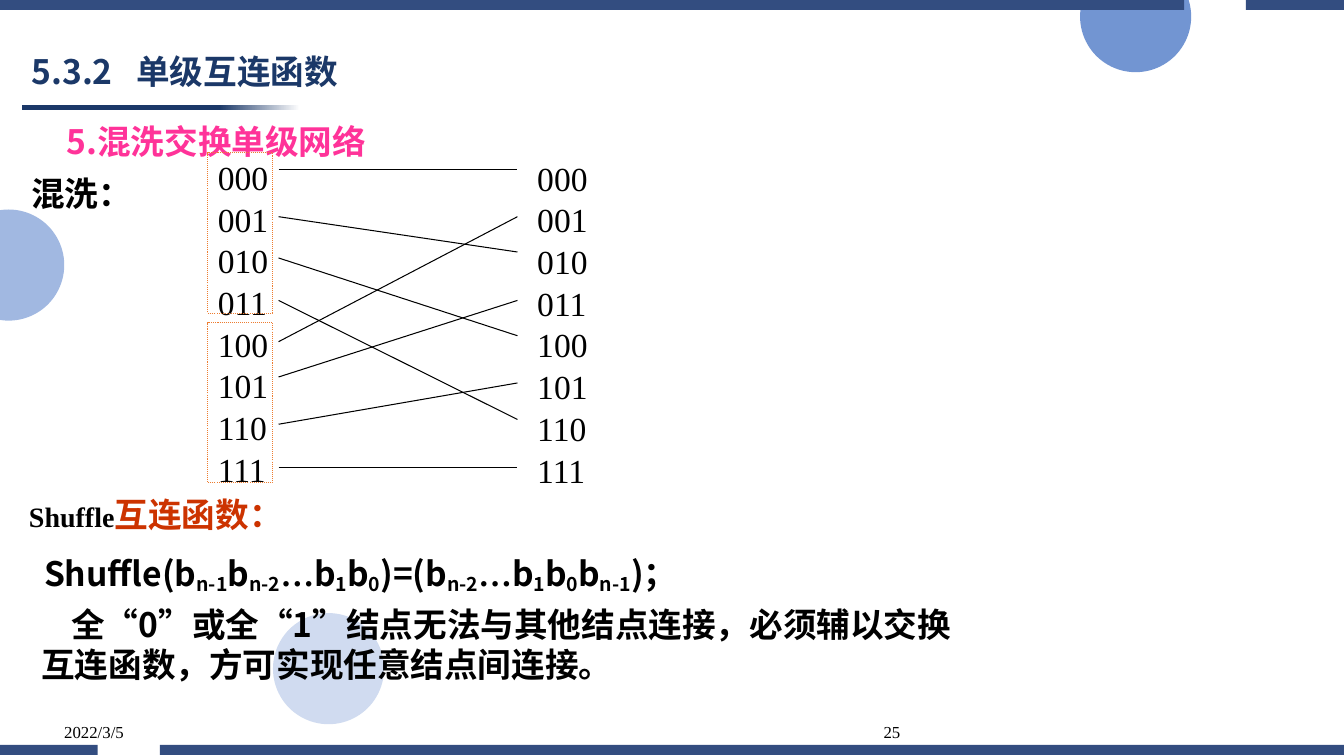
import dataclasses
import pptx
import pptx.util
import pptx.dml.color
import pptx.enum.dml
import pptx.enum.shapes
import pptx.enum.text
import pptx.oxml.ns
import lxml.etree

Cm = pptx.util.Cm
RGB = pptx.dml.color.RGBColor.from_string
qn = pptx.oxml.ns.qn
MSO = pptx.enum.shapes.MSO_SHAPE
ALIGN = pptx.enum.text.PP_ALIGN
ANCHOR = pptx.enum.text.MSO_ANCHOR
FIT = pptx.enum.text.MSO_AUTO_SIZE


@dataclasses.dataclass(frozen=True)
class Theme:
    black: str = "000000"
    white: str = "FFFFFF"
    navy: str = "1B3868"
    band: str = "334D80"
    circle: str = "4472C4"
    pink: str = "FF3399"
    red: str = "CC3300"
    orange: str = "ED7D31"
    sans: str = "Noto Sans CJK SC"
    serif: str = "Times New Roman"
    main: int = 24
    name: int = 20
    footer: int = 12


T = Theme()


def write(sp, runs, size=T.main, font=T.sans, color=T.black, bold=True, align=ALIGN.LEFT,
          anchor=ANCHOR.TOP, wrap=True, fit=FIT.SHAPE_TO_FIT_TEXT, spacing=1.0,
          indent=0, tab=None):
    tf = sp.text_frame
    tf.word_wrap, tf.auto_size, tf.vertical_anchor = wrap, fit, anchor
    p = tf.paragraphs[0]
    p.alignment, p.line_spacing = align, spacing
    pPr = p._p.get_or_add_pPr()
    if indent:
        pPr.set("indent", str(Cm(indent)))
    if tab:
        tabs = lxml.etree.SubElement(pPr, qn("a:tabLst"))
        lxml.etree.SubElement(tabs, qn("a:tab"), pos=str(Cm(tab)), algn="l")
    for words, extra in runs:
        r = p.add_run()
        r.text = words
        r.font.size = pptx.util.Pt(extra.get("size", size))
        r.font.bold = bold
        r.font.color.rgb = RGB(extra.get("color", color))
        r.font.name = extra.get("font", font)
        rPr = r._r.get_or_add_rPr()
        lxml.etree.SubElement(rPr, qn("a:ea"), typeface=extra.get("asian", r.font.name))
        if "baseline" in extra:
            rPr.set("baseline", str(extra["baseline"]))


prs = pptx.Presentation()
prs.slide_width, prs.slide_height = Cm(33.87), Cm(19.05)
s = prs.slides.add_slide(prs.slide_layouts[5])

for x, y, alpha in [(6.88, 15.45, 25), (-1.18, 5.28, 50), (27.22, -0.98, 75)]:
    sp = s.shapes.add_shape(MSO.OVAL, Cm(x), Cm(y), Cm(2.8), Cm(2.8))
    sp.shadow.inherit = False
    sp.line.fill.background()
    sp.fill.solid()
    sp.fill.fore_color.rgb = RGB(T.circle)
    clr = sp.fill._xPr.find(".//" + qn("a:srgbClr"))
    lxml.etree.SubElement(clr, qn("a:alpha"), val=str(alpha * 1000))

rule = s.shapes.add_shape(MSO.RECTANGLE, Cm(0.55), Cm(2.65), Cm(7.01), Cm(0.13))
rule.shadow.inherit = False
rule.line.fill.background()
rule.fill.gradient()
rule.fill.gradient_angle = 0
for stop, color, place in zip(rule.fill.gradient_stops, (T.navy, T.white), (0.71, 1)):
    stop.color.rgb = RGB(color)
    stop.position = place

for y, spans in [(18.77, [(4.03, 33.87), (0, 2.46)]), (0, [(0, 29.84), (31.4, 33.87)])]:
    band = s.shapes.build_freeform(Cm(spans[0][0]), Cm(y))
    for x1, x2 in spans:
        band.move_to(Cm(x1), Cm(y))
        band.add_line_segments([(Cm(x2), Cm(y)), (Cm(x2), Cm(y + 0.25)), (Cm(x1), Cm(y + 0.25))])
    sp = band.convert_to_shape()
    sp.shadow.inherit = False
    sp.line.fill.background()
    sp.fill.solid()
    sp.fill.fore_color.rgb = RGB(T.band)

title = s.shapes.title
title.left, title.top, title.width, title.height = Cm(0.54), Cm(1.14), Cm(12.04), Cm(1.42)
write(title, [("5.3.2\t单级互连函数", {})], color=T.navy, anchor=ANCHOR.MIDDLE,
      fit=FIT.NONE, spacing=0.9, tab=2.64)

for x, words, align in [(1.37, "2022/3/5", ALIGN.LEFT), (17.66, "25", ALIGN.RIGHT)]:
    sp = s.shapes.add_textbox(Cm(x), Cm(17.81), Cm(5.28), Cm(1.27))
    write(sp, [(words, {})], size=T.footer, font=T.serif, bold=False, align=align,
          anchor=ANCHOR.MIDDLE, fit=FIT.NONE)

serif = {"font": T.serif}
quote = {"font": T.serif, "asian": T.sans}
sub = {"baseline": -14000}
tail = [("…", serif), ("b", {}), ("1", sub), ("b", {}), ("0", sub)]
formula = [("Shuffle(b", {}), ("n-1", sub), ("b", {}), ("n-2", sub), *tail,
           (")=(b", {}), ("n-2", sub), *tail, ("b", {}), ("n-1", sub), (")；", {})]
function_name = [("Shuffle", {"font": T.serif, "size": T.name}), ("互连函数：", {"color": T.red})]
remark = [("全", {}), ("“", quote), ("0", {}), ("”", quote), ("或全", {}),
          ("“", quote), ("1", {}), ("”", quote),
          ("结点无法与其他结点连接，必须辅以交换互连函数，方可实现任意结点间连接。", {})]

for x, y, w, h, runs, color, indent in [
    (1.43, 2.92, 23.93, 1.27, [("5.混洗交换单级网络", {})], T.pink, 0),
    (0.16, 4.22, 10.16, 1.27, [("混洗：", {})], T.black, 0.38),
    (0.1, 12.32, 14.81, 1.27, function_name, T.black, 0.38),
    (0.1, 13.82, 24.13, 1.27, formula, T.black, 0.76),
    (0.79, 15.09, 24.13, 2.31, remark, T.black, 0.76),
]:
    sp = s.shapes.add_textbox(Cm(x), Cm(y), Cm(w), Cm(h))
    write(sp, runs, color=color, indent=indent)

network = s.shapes.add_group_shape().shapes
inputs = [4.27, 5.46, 6.5, 7.57, 8.61, 9.5, 10.69, 11.79]
outputs = [4.27, 5.46, 6.35, 7.57, 8.46, 9.65, 10.57, 11.79]
for node in range(8):
    for x, y in ((5.24, 3.83), (13.29, 3.85)):
        sp = network.add_textbox(Cm(x), Cm(y + 1.05 * node), Cm(1.8), Cm(1.3))
        write(sp, [(f"{node:03b}", {})], font=T.serif, bold=False, wrap=False)
    shuffled = 2 * node % 8 + node // 4
    link = network.add_connector(pptx.enum.shapes.MSO_CONNECTOR.STRAIGHT, Cm(7.02),
                                 Cm(inputs[node]), Cm(13.04), Cm(outputs[shuffled]))
    link.line.width = pptx.util.Pt(0.75)
    link.line.color.rgb = RGB(T.black)
    lxml.etree.SubElement(link._element.spPr, qn("a:effectLst"))

for y in (3.85, 8.13):
    half = network.add_shape(MSO.RECTANGLE, Cm(5.24), Cm(y), Cm(1.63), Cm(4.04))
    half.shadow.inherit = False
    half.fill.background()
    half.line.color.rgb = RGB(T.orange)
    half.line.width = pptx.util.Pt(0.75)
    half.line.dash_style = pptx.enum.dml.MSO_LINE.ROUND_DOT

prs.save("out.pptx")
